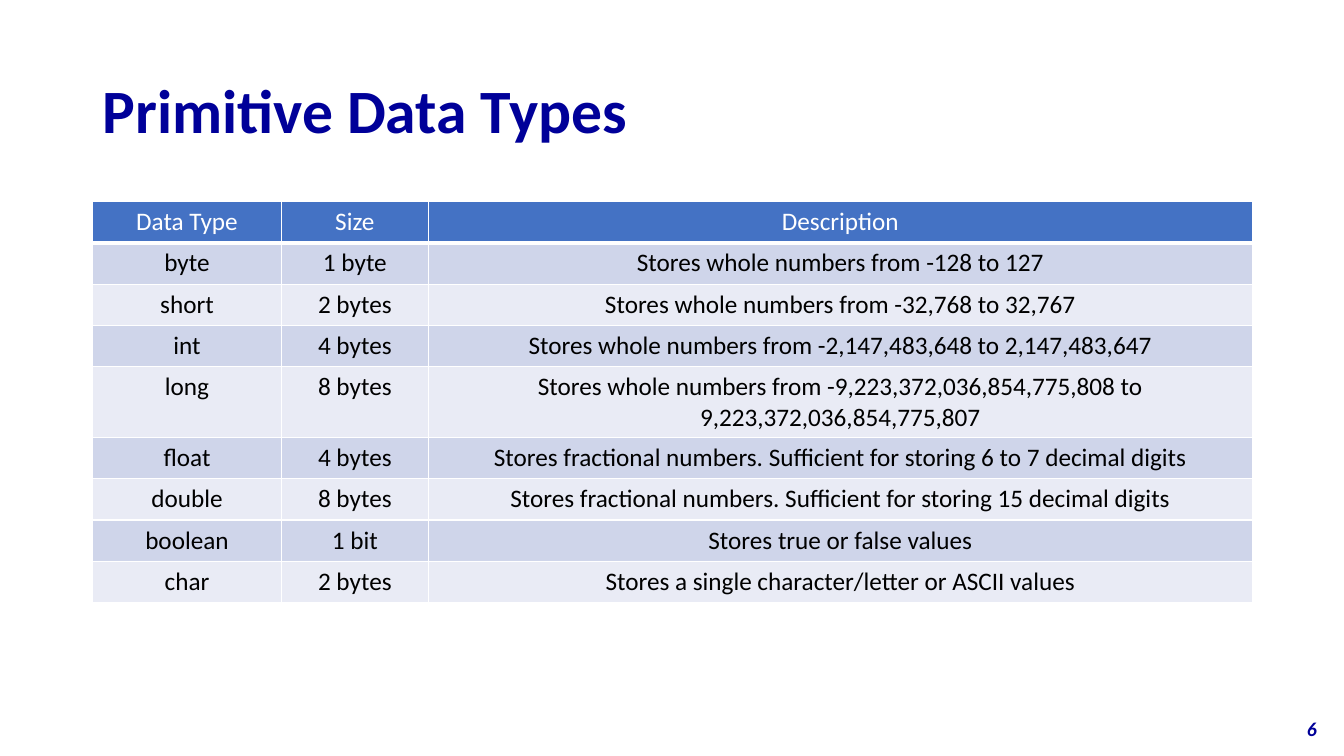
from lxml.etree import SubElement
from pptx import Presentation
from pptx.dml.color import RGBColor
from pptx.enum.text import MSO_ANCHOR as ANCHOR, PP_ALIGN as ALIGN
from pptx.oxml.ns import qn
from pptx.util import Inches, Pt

COLORS = {
    "navy": "000099", "header": "4472C4", "band": "CFD5EA",
    "light": "E9EBF5", "white": "FFFFFF", "black": "000000",
}
ROWS = [
    ("Data Type", "Size", "Description"),
    ("byte", "1 byte", "Stores whole numbers from -128 to 127"),
    ("short", "2 bytes", "Stores whole numbers from -32,768 to 32,767"),
    ("int", "4 bytes", "Stores whole numbers from -2,147,483,648 to 2,147,483,647"),
    ("long", "8 bytes", "Stores whole numbers from -9,223,372,036,854,775,808 to 9,223,372,036,854,775,807"),
    ("float", "4 bytes", "Stores fractional numbers. Sufficient for storing 6 to 7 decimal digits"),
    ("double", "8 bytes", "Stores fractional numbers. Sufficient for storing 15 decimal digits"),
    ("boolean", "1 bit", "Stores true or false values"),
    ("char", "2 bytes", "Stores a single character/letter or ASCII values"),
]
COL_WIDTHS = [1.87, 1.46, 8.17]
ROW_HEIGHT = 0.41
LEFT, WIDTH = 0.92, sum(COL_WIDTHS)


def style_text(p, size, color, align, bold=False, italic=False):
    p.alignment = align
    for r in p.runs:
        font = r.font
        font.name, font.size = "Calibri", Pt(size)
        font.bold, font.italic = bold, italic
        font.color.rgb = RGBColor.from_string(COLORS[color])


def add_border(cell, side, width):
    """Draw a white line on one side (L, R, T or B); call before filling the cell."""
    ln = SubElement(cell._tc.get_or_add_tcPr(), qn(f"a:ln{side}"), w=str(Pt(width)))
    fill = SubElement(ln, qn("a:solidFill"))
    SubElement(fill, qn("a:srgbClr"), val=COLORS["white"])


prs = Presentation()
prs.slide_width, prs.slide_height = Inches(13.33), Inches(7.5)
s = prs.slides.add_slide(prs.slide_layouts[6])

# Title and page number
for text, box, size, align, italic in [
    ("Primitive Data Types", (LEFT, 0.4, WIDTH, 1.45), 44, ALIGN.LEFT, False),
    ("6", (10.16, 7.03, 3, 0.4), 14, ALIGN.RIGHT, True),
]:
    tf = s.shapes.add_textbox(*map(Inches, box)).text_frame
    tf.word_wrap = True
    tf.vertical_anchor = ANCHOR.MIDDLE
    tf.text = text
    p = tf.paragraphs[0]
    p.line_spacing = 1 if italic else 0.9
    style_text(p, size, "navy", align, bold=True, italic=italic)

# Table of types
table = s.shapes.add_table(
    len(ROWS), len(COL_WIDTHS), Inches(LEFT), Inches(2),
    Inches(WIDTH), Inches(ROW_HEIGHT * len(ROWS)),
).table
for column, width in zip(table.columns, COL_WIDTHS):
    column.width = Inches(width)

for i, row in enumerate(ROWS):
    table.rows[i].height = Inches(ROW_HEIGHT)
    fill = "header" if i == 0 else "band" if i % 2 else "light"
    for j, text in enumerate(row):
        cell = table.cell(i, j)
        for side in "LRTB":
            thick = (i == 0 and side == "B") or (i == 1 and side == "T")
            add_border(cell, side, 3 if thick else 1)
        cell.fill.solid()
        cell.fill.fore_color.rgb = RGBColor.from_string(COLORS[fill])
        cell.text_frame.text = text
        style_text(cell.text_frame.paragraphs[0], 18, "black" if i else "white", ALIGN.CENTER)

prs.save("out.pptx")
